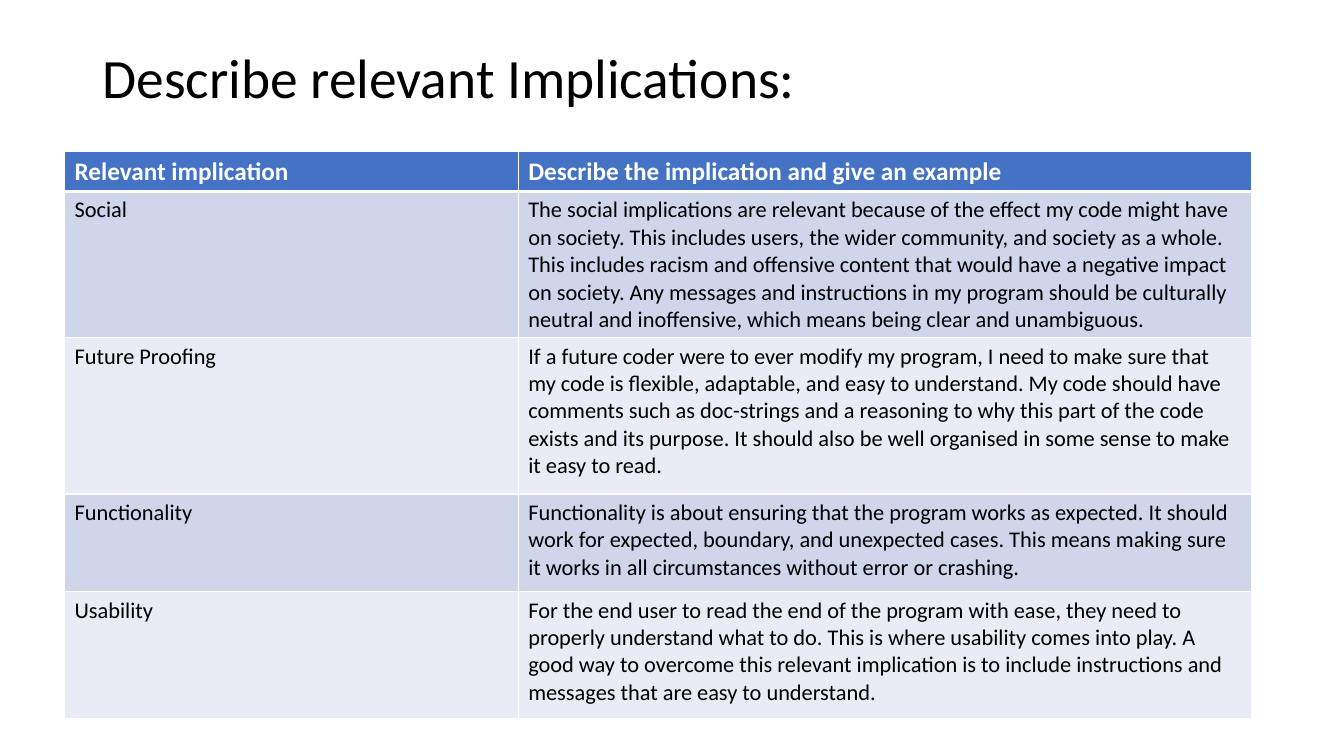
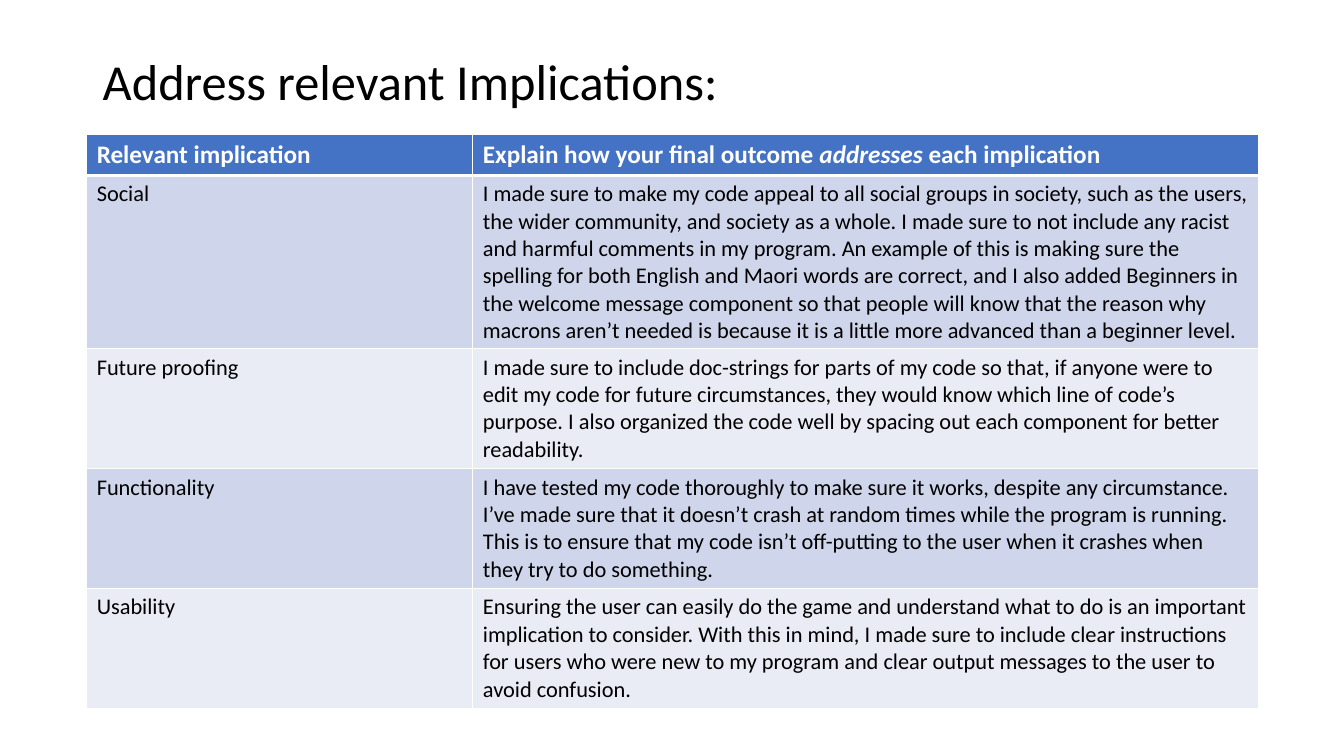
from lxml.etree import SubElement
from pptx import Presentation
from pptx.dml.color import RGBColor
from pptx.enum.text import MSO_ANCHOR
from pptx.oxml.ns import qn
from pptx.util import Inches, Pt

COLORS = {
    "text": "000000",
    "header": "4472C4",
    "header_text": "FFFFFF",
    "odd_row": "CFD5EA",
    "even_row": "E9EBF5",
    "border": "FFFFFF",
}
HEADER_FONT = {"name": "Calibri", "size": Pt(18), "bold": True}
BODY_FONT = {"name": "Calibri", "size": Pt(16), "bold": False}


class Deck:
    """Hold the shared style and the current slide of the implications deck."""

    def __init__(self):
        self.presentation = Presentation()
        self.presentation.slide_width = Inches(13.33)
        self.presentation.slide_height = Inches(7.5)
        self.slide = None

    def new_slide(self):
        blank = self.presentation.slide_layouts[6]
        self.slide = self.presentation.slides.add_slide(blank)

    def add_text(self, paragraph, text, font, color):
        for index, part in enumerate(text.split("*")):
            run = paragraph.add_run()
            run.text = part
            for attribute, value in {**font, "italic": index % 2 == 1}.items():
                setattr(run.font, attribute, value)
            run.font.color.rgb = RGBColor.from_string(COLORS[color])

    def title(self, text, size, height):
        heading = self.slide.shapes.add_textbox(
            Inches(0.92), Inches(0.4), Inches(11.5), Inches(height))
        frame = heading.text_frame
        frame.word_wrap = True
        frame.vertical_anchor = MSO_ANCHOR.MIDDLE
        paragraph = frame.paragraphs[0]
        paragraph.line_spacing = 1.15
        self.add_text(paragraph, text, {"name": "Calibri", "size": Pt(size)}, "text")

    def border(self, cell, row_index):
        widths = {"L": 1, "R": 1, "T": 3 if row_index == 1 else 1,
                  "B": 3 if row_index == 0 else 1}
        properties = cell._tc.get_or_add_tcPr()
        for side, width in widths.items():
            line = SubElement(properties, qn(f"a:ln{side}"), w=str(Pt(width)))
            fill = SubElement(line, qn("a:solidFill"))
            SubElement(fill, qn("a:srgbClr"), val=COLORS["border"])

    def cell(self, cell, row_index, text):
        if row_index == 0:
            fill, font, color = "header", HEADER_FONT, "header_text"
        else:
            fill = "odd_row" if row_index % 2 else "even_row"
            font, color = BODY_FONT, "text"
        self.border(cell, row_index)
        cell.fill.solid()
        cell.fill.fore_color.rgb = RGBColor.from_string(COLORS[fill])
        self.add_text(cell.text_frame.paragraphs[0], text, font, color)

    def table(self, left, top, widths, heights, rows):
        implications = self.slide.shapes.add_table(
            len(rows), len(widths), Inches(left), Inches(top),
            Inches(sum(widths)), Inches(sum(heights))).table
        for column, width in zip(implications.columns, widths):
            column.width = Inches(width)
        for row_index, (height, texts) in enumerate(zip(heights, rows)):
            implications.rows[row_index].height = Inches(height)
            for column_index, text in enumerate(texts):
                self.cell(implications.cell(row_index, column_index), row_index, text)


SLIDES = [
    {
        "title": ("Describe relevant Implications:", 39.6, 0.61),
        "table": (0.64, 1.5, [4.5, 7.27], [0.39, 1.45, 1.55, 0.97, 1.26], [
            ("Relevant implication", "Describe the implication and give an example"),
            ("Social",
             "The social implications are relevant because of the effect my code "
             "might have on society. This includes users, the wider community, and "
             "society as a whole. This includes racism and offensive content that "
             "would have a negative impact on society. Any messages and instructions "
             "in my program should be culturally neutral and inoffensive, which "
             "means being clear and unambiguous."),
            ("Future Proofing",
             "If a future coder were to ever modify my program, I need to make sure "
             "that my code is flexible, adaptable, and easy to understand. My code "
             "should have comments such as doc-strings and a reasoning to why this "
             "part of the code exists and its purpose. It should also be well "
             "organised in some sense to make it easy to read."),
            ("Functionality",
             "Functionality is about ensuring that the program works as expected. It "
             "should work for expected, boundary, and unexpected cases. This means "
             "making sure it works in all circumstances without error or crashing."),
            ("Usability",
             "For the end user to read the end of the program with ease, they need "
             "to properly understand what to do. This is where usability comes into "
             "play. A good way to overcome this relevant implication is to include "
             "instructions and messages that are easy to understand."),
        ]),
    },
    {
        "title": ("Address relevant Implications:", 36, 0.7),
        "table": (0.86, 1.33, [3.83, 7.79], [0.41, 1.72, 1.19, 1.19, 1.19], [
            ("Relevant implication",
             "Explain how your final outcome *addresses* each implication"),
            ("Social",
             "I made sure to make my code appeal to all social groups in society, "
             "such as the users, the wider community, and society as a whole. I made "
             "sure to not include any racist and harmful comments in my program. An "
             "example of this is making sure the spelling for both English and Maori "
             "words are correct, and I also added Beginners in the welcome message "
             "component so that people will know that the reason why macrons aren’t "
             "needed is because it is a little more advanced than a beginner level."),
            ("Future proofing",
             "I made sure to include doc-strings for parts of my code so that, if "
             "anyone were to edit my code for future circumstances, they would know "
             "which line of code’s purpose. I also organized the code well by "
             "spacing out each component for better readability."),
            ("Functionality",
             "I have tested my code thoroughly to make sure it works, despite any "
             "circumstance. I’ve made sure that it doesn’t crash at random times "
             "while the program is running. This is to ensure that my code isn’t "
             "off-putting to the user when it crashes when they try to do something."),
            ("Usability",
             "Ensuring the user can easily do the game and understand what to do is "
             "an important implication to consider. With this in mind, I made sure "
             "to include clear instructions for users who were new to my program and "
             "clear output messages to the user to avoid confusion."),
        ]),
    },
]


def main():
    deck = Deck()
    for content in SLIDES:
        deck.new_slide()
        deck.title(*content["title"])
        deck.table(*content["table"])
    deck.presentation.save("out.pptx")


if __name__ == "__main__":
    main()
